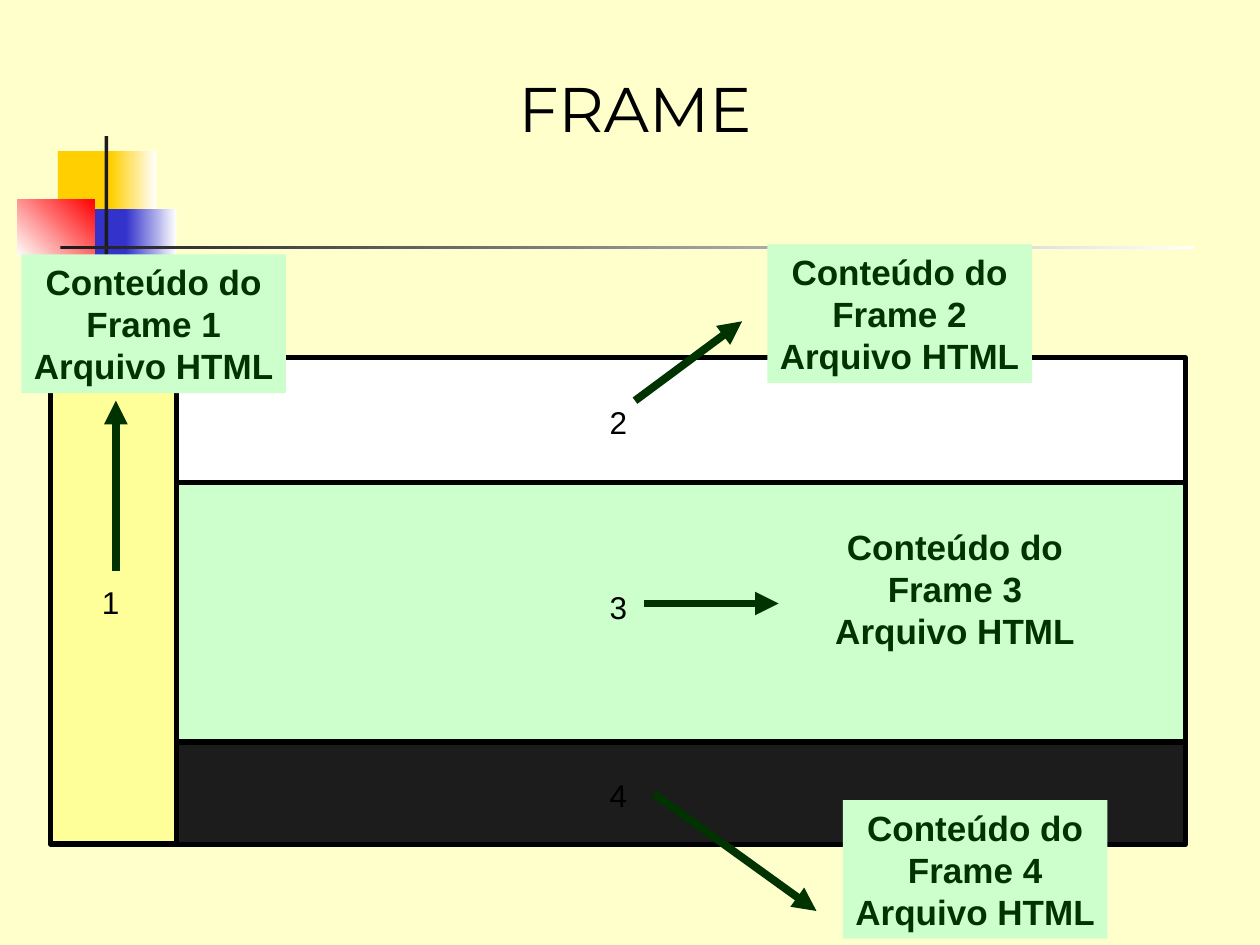
"""Build the FRAME slide: a page split into four frames, each with a labelled arrow."""
from lxml import etree
from pptx import Presentation
from pptx.dml.color import RGBColor
from pptx.enum import shapes, text
from pptx.oxml import ns
from pptx.util import Inches, Pt

BLACK, WHITE, DARK_GREEN, PALE_GREEN = "000000", "FFFFFF", "003300", "CCFFCC"
CHARCOAL, GOLD, BLUE, RED = "1C1C1C", "FFCF01", "3333CC", "FF0000"

ORNAMENTS = [
    ((0.46, 1.2, 0.48, 0.52), (GOLD,), 0),
    ((0.88, 1.2, 0.36, 0.52), (GOLD, WHITE), 0),
    ((0.59, 1.66, 0.46, 0.52), (BLUE,), 0),
    ((1, 1.66, 0.4, 0.52), (BLUE, WHITE), 0),
    ((0.14, 1.58, 0.61, 0.46), (WHITE, RED), 45),
    ((0.83, 1.08, 0.03, 1.15), (CHARCOAL,), 0),
    ((0.48, 1.95, 9, 0.03), (CHARCOAL, WHITE), 0),
]
LEFT, SPLIT, RIGHT = 0.4, 1.4, 9.41
TOP, BOTTOM = 2.84, 6.7
ROWS = [(TOP, WHITE), (3.83, PALE_GREEN), (5.89, CHARCOAL)]
NUMBERS = [(0.71, 4.58), (4.74, 3.15), (4.74, 4.62), (4.74, 6.11)]
LABELS = [(0.17, 2.02), (6.09, 1.94), (6.53, 4.12), (6.69, 6.35)]
ARROWS = [
    (0.92, 4.53, 0.92, 3.18),
    (5.04, 3.18, 5.89, 2.55),
    (5.11, 4.79, 6.18, 4.79),
    (5.19, 6.3, 6.48, 7.23),
]


def color(value):
    """Turn a hex string into a colour."""
    return RGBColor.from_string(value)


def add_block(page, place, colors, angle=0, outlined=False):
    """Add a rectangle with a solid fill or a two-colour gradient."""
    block = page.shapes.add_shape(shapes.MSO_SHAPE.RECTANGLE, *map(Inches, place))
    block.shadow.inherit = False
    if len(colors) == 1:
        block.fill.solid()
        block.fill.fore_color.rgb = color(colors[0])
    else:
        block.fill.gradient()
        block.fill.gradient_angle = angle
        for stop, value in zip(block.fill.gradient_stops, colors):
            stop.color.rgb = color(value)
    if outlined:
        block.line.color.rgb = color(BLACK)
        block.line.width = Pt(3)
    else:
        block.line.fill.background()
    return block


def write(box, lines, size, ink, align, bold=False, name="Arial", wrap=False):
    """Fill a shape with one paragraph per line."""
    frame = box.text_frame
    frame.word_wrap = wrap
    frame.vertical_anchor = text.MSO_ANCHOR.TOP
    frame.text = "\n".join(lines)
    for para in frame.paragraphs:
        para.alignment = align
        para.font.size = Pt(size)
        para.font.name = name
        para.font.bold = bold
        para.font.color.rgb = color(ink)


def add_arrow(page, ends):
    """Add a thick line with a triangular head at its end."""
    arrow = page.shapes.add_connector(shapes.MSO_CONNECTOR.STRAIGHT, *map(Inches, ends))
    arrow.line.color.rgb = color(DARK_GREEN)
    arrow.line.width = Pt(4.5)
    etree.SubElement(arrow.line._get_or_add_ln(), ns.qn("a:tailEnd"), type="triangle")
    etree.SubElement(arrow._element.spPr, ns.qn("a:effectLst"))


def main():
    """Assemble and save the deck."""
    deck = Presentation()
    deck.slide_width, deck.slide_height = Inches(10), Inches(7.5)
    page = deck.slides.add_slide(deck.slide_layouts[5])
    page.background.fill.solid()
    page.background.fill.fore_color.rgb = color("FFFFCC")
    center, left = text.PP_ALIGN.CENTER, text.PP_ALIGN.LEFT

    title = page.shapes.title
    title.left, title.top, title.width, title.height = map(Inches, (0.08, 0.5, 9.92, 1.3))
    write(title, ["FRAME"], 36, BLACK, center, name="Montserrat", wrap=True)

    for place, colors, angle in ORNAMENTS:
        add_block(page, place, colors, angle)

    add_block(page, (LEFT, TOP, SPLIT - LEFT, BOTTOM - TOP), ("FFFF99",), outlined=True)
    ends = [top for top, _ in ROWS[1:]] + [BOTTOM]
    for (top, fill), end in zip(ROWS, ends):
        add_block(page, (SPLIT, top, RIGHT - SPLIT, end - top), (fill,), outlined=True)

    for number, (x, y) in enumerate(NUMBERS, 1):
        box = page.shapes.add_textbox(*map(Inches, (x, y, 0.34, 0.4)))
        write(box, [str(number)], 18, BLACK, left)

    for number, (x, y) in enumerate(LABELS, 1):
        label = add_block(page, (x, y, 2.1, 1.1), (PALE_GREEN,))
        lines = ["Conteúdo do", f"Frame {number}", "Arquivo HTML"]
        write(label, lines, 20, DARK_GREEN, center, bold=True)

    for arrow_ends in ARROWS:
        add_arrow(page, arrow_ends)

    deck.save("out.pptx")


if __name__ == "__main__":
    main()
